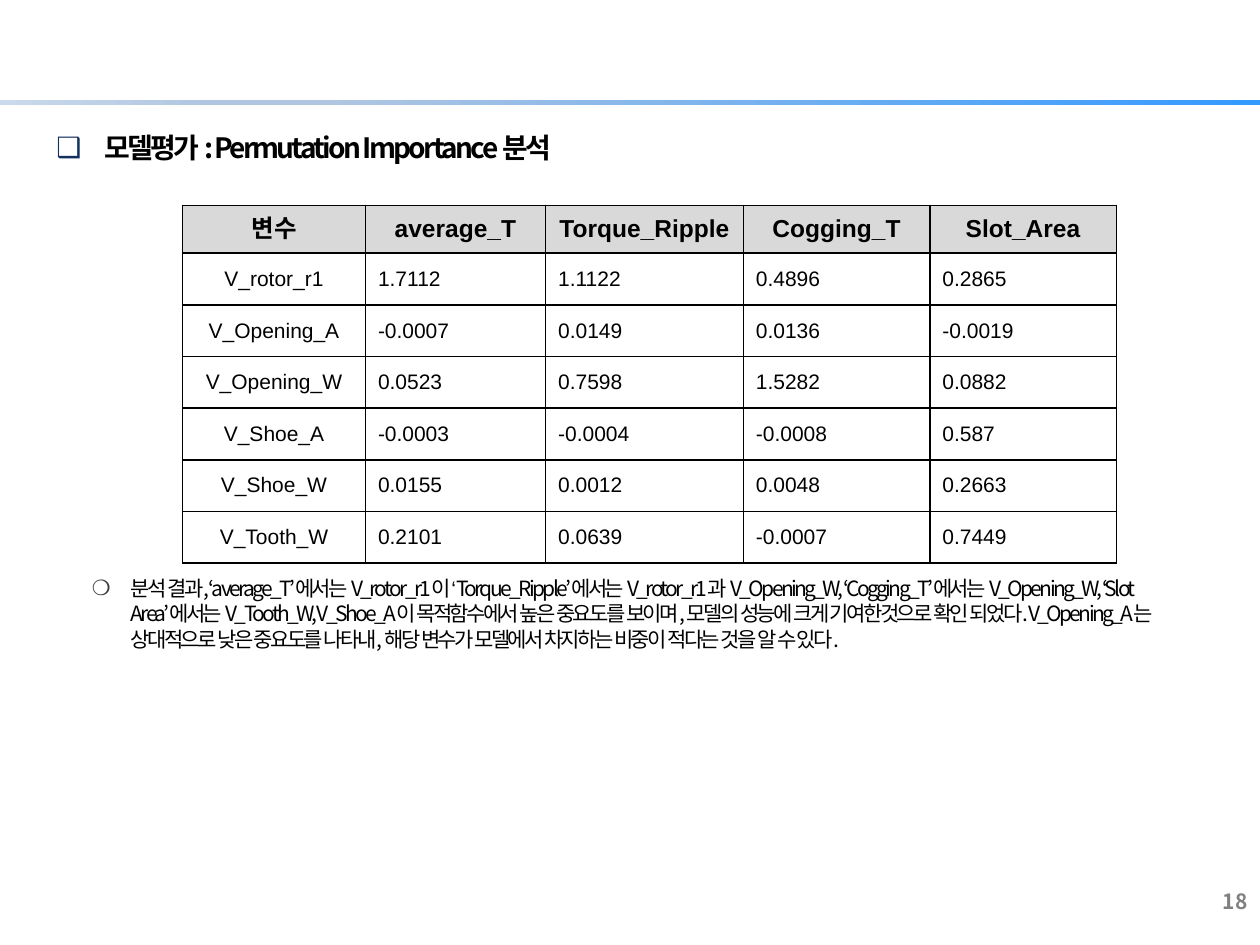
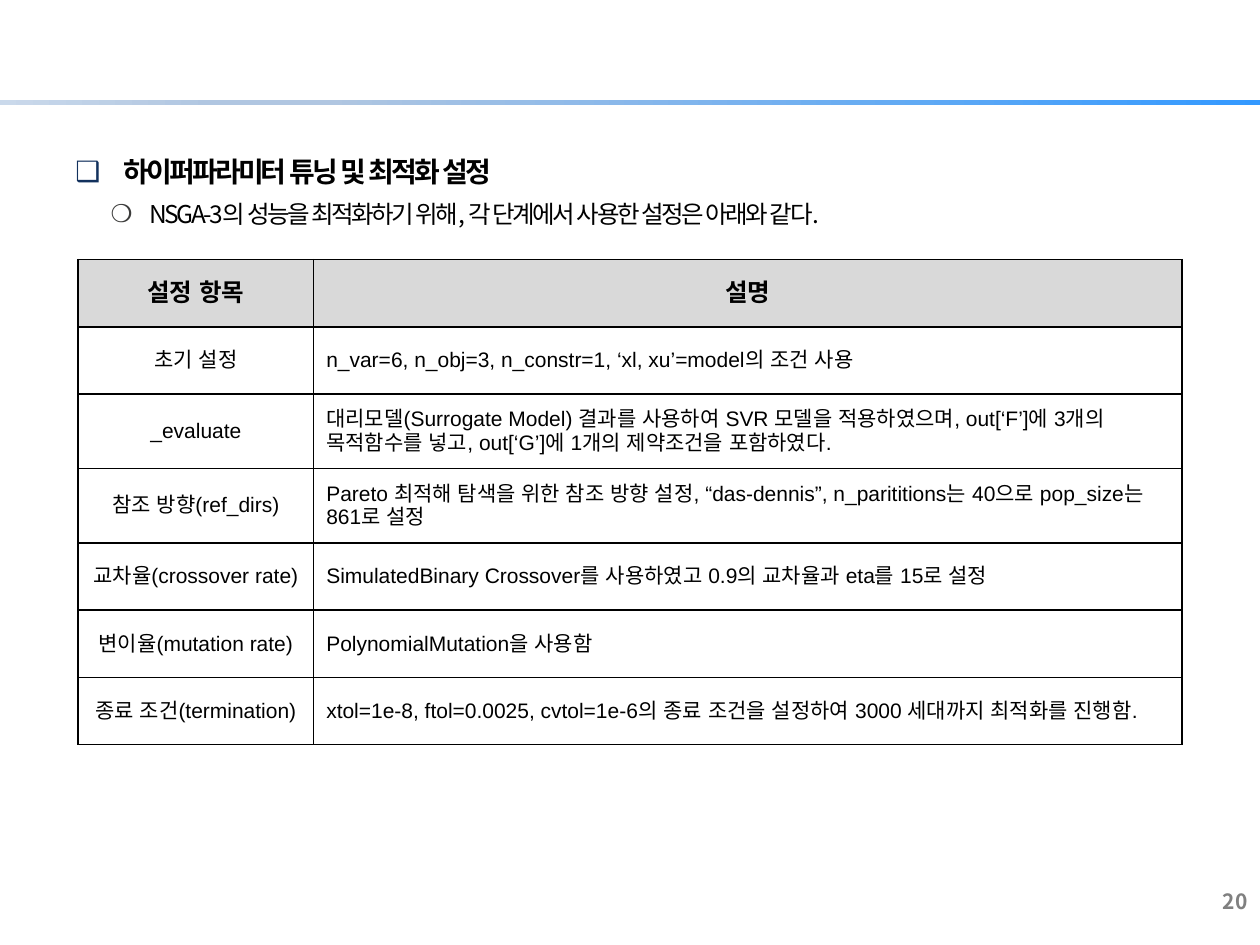
from lxml import etree
from pptx import Presentation
from pptx.dml.color import RGBColor
from pptx.enum import shapes, text
from pptx.oxml import parse_xml
from pptx.oxml.ns import qn
from pptx.util import Inches, Pt

SANS, GRID = "Noto Sans CJK KR", "Arial"
BLACK, GRAY, WHITE, HEAD = "000000", "808080", "FFFFFF", "D9D9D9"
BAND = [(0, "CAD9EB"), (17, "B0C6E1"), (26, "B0C6E1"), (100, "3399FF")]
# bullet, its colour, left margin, hanging indent
LEVELS = [("❑", "12315D", 0.38, 0.38), ("❍", "3C3C3B", 0.59, 0.31)]
ROW = 3.74 / 7  # a one-line row of the settings table

# Texts are (level, size, words); each box has left, top, height.
SLIDES = [
    {
        "page": "18",
        "boxes": [
            (0.35, 0.99, 0.45, [(0, 16, "모델평가 : Permutation Importance 분석")]),
            (0.35, 4.52, 0.8, [(1, 12, (
                "분석 결과, ‘average_T’에서는 V_rotor_r1이 ‘Torque_Ripple’에서는 "
                "V_rotor_r1과 V_Opening_W, ‘Cogging_T’에서는 V_Opening_W, "
                "‘Slot Area’에서는 V_Tooth_W, V_Shoe_A이 목적함수에서 높은 중요도를 "
                "보이며, 모델의 성능에 크게 기여한것으로 확인 되었다. V_Opening_A는 "
                "상대적으로 낮은 중요도를 나타내, 해당 변수가 모델에서 차지하는 비중이 "
                "적다는 것을 알 수 있다."))]),
        ],
        "at": (1.45, 1.63),
        "cols": [1.45, 1.43, 1.57, 1.48, 1.48],
        "rows": [0.38] + [0.41] * 6,
        "cells": [
            ("변수", "average_T", "Torque_Ripple", "Cogging_T", "Slot_Area"),
            ("V_rotor_r1", "1.7112", "1.1122", "0.4896", "0.2865"),
            ("V_Opening_A", "-0.0007", "0.0149", "0.0136", "-0.0019"),
            ("V_Opening_W", "0.0523", "0.7598", "1.5282", "0.0882"),
            ("V_Shoe_A", "-0.0003", "-0.0004", "-0.0008", "0.587"),
            ("V_Shoe_W", "0.0155", "0.0012", "0.0048", "0.2663"),
            ("V_Tooth_W", "0.2101", "0.0639", "-0.0007", "0.7449"),
        ],
    },
    {
        "page": "20",
        "boxes": [
            (0.5, 1.18, 0.75, [
                (0, 16, "하이퍼파라미터 튜닝 및 최적화 설정"),
                (1, 14, "NSGA-3의 성능을 최적화하기 위해, 각 단계에서 사용한 설정은 아래와 같다."),
            ]),
        ],
        "at": (0.62, 2.06),
        "cols": [1.87, 6.89],
        "rows": [ROW] * 2 + [0.59] * 2 + [ROW] * 3,
        "cells": [
            ("설정 항목", "설명"),
            ("초기 설정", "n_var=6, n_obj=3, n_constr=1, ‘xl, xu’=model의 조건 사용"),
            ("_evaluate",
             "대리모델(Surrogate Model) 결과를 사용하여 SVR 모델을 적용하였으며, "
             "out[‘F’]에 3개의 목적함수를 넣고, out[‘G’]에 1개의 제약조건을 포함하였다."),
            ("참조 방향(ref_dirs)",
             "Pareto 최적해 탐색을 위한 참조 방향 설정, “das-dennis”, "
             "n_parititions는 40으로 pop_size는 861로 설정"),
            ("교차율(crossover rate)",
             "SimulatedBinary Crossover를 사용하였고 0.9의 교차율과 eta를 15로 설정"),
            ("변이율(mutation rate)", "PolynomialMutation을 사용함"),
            ("종료 조건(termination)",
             "xtol=1e-8, ftol=0.0025, cvtol=1e-6의 종료 조건을 설정하여 "
             "3000 세대까지 최적화를 진행함."),
        ],
    },
]


def rgb(code):
    return RGBColor.from_string(code)


def xml(tag, body, attrs=""):
    """Make one DrawingML element."""
    space = "http://schemas.openxmlformats.org/drawingml/2006/main"
    return parse_xml(f'<a:{tag} xmlns:a="{space}" {attrs}>{body}</a:{tag}>')


def ink(code):
    return f'<a:srgbClr val="{code}"/>'


def style(para, size, name, code=BLACK, bold=False):
    """Set the paragraph's font; Korean spaces take the width of GRID."""
    font = para.font
    font.size, font.name, font.bold = Pt(size), name, bold
    font.color.rgb = rgb(code)
    etree.SubElement(font._element, qn("a:ea"), typeface=GRID)
    return font


def add_band(slide, width):
    band = slide.shapes.add_shape(
        shapes.MSO_SHAPE.RECTANGLE, 0, Inches(0.79), width, Inches(0.04))
    band.shadow.inherit = False
    band.line.fill.background()
    band.fill.gradient()
    band.fill.gradient_angle = 0
    stops = band._element.spPr.find(qn("a:gradFill")).find(qn("a:gsLst"))
    for stop in list(stops):
        stops.remove(stop)
    for pos, code in BAND:
        stops.append(xml("gs", ink(code), f'pos="{pos * 1000}"'))


def add_frame(slide, *at):
    frame = slide.shapes.add_textbox(*map(Inches, at)).text_frame
    frame.word_wrap = True
    return frame


def add_page(slide, num):
    frame = add_frame(slide, 7.75, 6.95, 2.25, 0.4)
    frame.vertical_anchor = text.MSO_ANCHOR.MIDDLE
    para = frame.paragraphs[0]
    para.text, para.alignment = num, text.PP_ALIGN.RIGHT
    style(para, 12, SANS, GRAY, True)


def add_body(slide, left, top, high, items):
    frame = add_frame(slide, left, top, 9, high)
    for i, (level, size, words) in enumerate(items):
        para = frame.add_paragraph() if i else frame.paragraphs[0]
        para.text = words
        if i:
            para.space_before = Pt(6)
        mark, code, margin, hang = LEVELS[level]
        props = para._p.get_or_add_pPr()
        props.set("marL", str(Inches(margin)))
        props.set("indent", str(-Inches(hang)))
        props.append(xml("buClr", ink(code)))
        props.append(xml("buFont", "", f'typeface="{GRID}"'))
        props.append(xml("buChar", "", f'char="{mark}"'))
        font = style(para, size, SANS, bold=level == 0)
        font._element.set("spc", "-150")


def add_edges(cell):
    props = cell._tc.get_or_add_tcPr()
    for i, side in enumerate("LRTB"):
        fill = f"<a:solidFill>{ink(BLACK)}</a:solidFill>"
        props.insert(i, xml("ln" + side, fill, f'w="{Pt(1)}"'))


def add_grid(slide, at, cols, rows, cells):
    size = sum(cols), sum(rows)
    grid = slide.shapes.add_table(
        len(rows), len(cols), *map(Inches, at + size)).table
    grid.first_row = grid.horz_banding = False
    for col, wide in zip(grid.columns, cols):
        col.width = Inches(wide)
    for r, (high, row) in enumerate(zip(rows, cells)):
        grid.rows[r].height = Inches(high)
        for c, words in enumerate(row):
            cell, head = grid.cell(r, c), r == 0
            cell.vertical_anchor = text.MSO_ANCHOR.MIDDLE
            cell.fill.solid()
            cell.fill.fore_color.rgb = rgb(HEAD if head else WHITE)
            add_edges(cell)
            para = cell.text_frame.paragraphs[0]
            para.text = words
            if head or c == 0:
                para.alignment = text.PP_ALIGN.CENTER
            style(para, 14 if head else 12, GRID, bold=head)


def main():
    deck = Presentation()
    deck.slide_width, deck.slide_height = Inches(10), Inches(7.5)
    for data in SLIDES:
        slide = deck.slides.add_slide(deck.slide_layouts[6])
        add_band(slide, deck.slide_width)
        for box in data["boxes"]:
            add_body(slide, *box)
        add_page(slide, data["page"])
        add_grid(slide, data["at"], data["cols"], data["rows"], data["cells"])
    deck.save("out.pptx")


if __name__ == "__main__":
    main()
